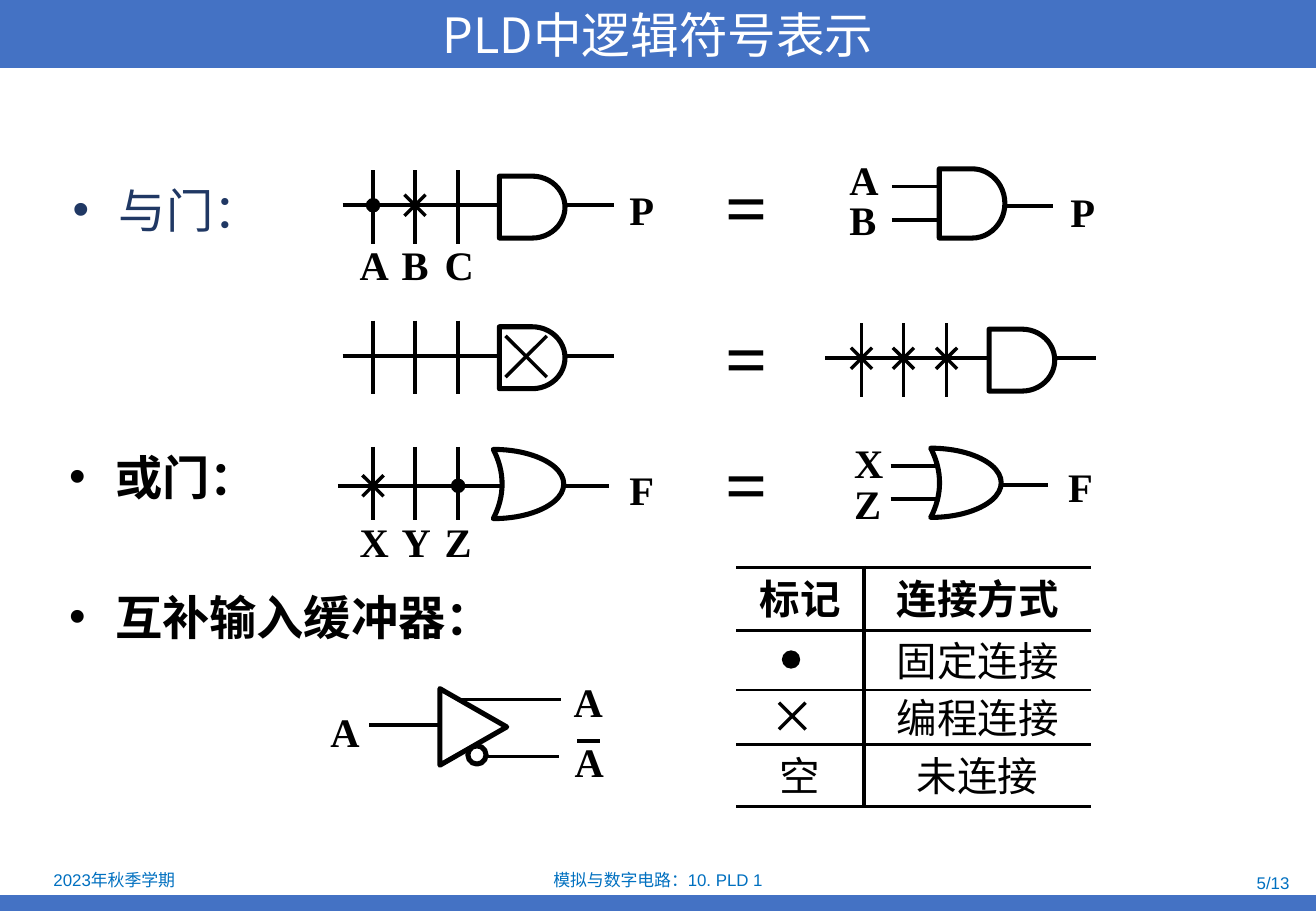
from lxml.etree import SubElement
from pptx import Presentation
from pptx.dml.color import RGBColor
from pptx.enum.shapes import MSO_CONNECTOR, MSO_SHAPE
from pptx.enum.text import MSO_ANCHOR, PP_ALIGN
from pptx.oxml import parse_xml
from pptx.oxml.ns import nsdecls, qn
from pptx.util import Inches, Pt

COLORS = {"band": "4472C4", "paper": "FFFFFF", "ink": "000000", "footer": "0070C0", "navy": "203864"}
SANS, SERIF, HAN = "Arial", "Times New Roman", "Noto Sans CJK SC"
COLUMNS, ROWS = 108.3, 75
PLAIN_TABLE = "{2D5ABB26-0587-4C30-8999-92F81FD0307C}"


def grid(*counts):
    """Turn counts of square grid cells, ten to the inch, into lengths."""
    return [Inches(count / 10) for count in counts]


def color(name):
    """Look up a named colour."""
    return RGBColor.from_string(COLORS[name])


def write_text(frame, text, size=24, ink="ink", face=SANS, bold=False, align=PP_ALIGN.LEFT,
               anchor=MSO_ANCHOR.TOP, margins=(1, 0.5), wrap=True, bullet=False, spacing=None):
    """Put one formatted paragraph into a text frame."""
    frame.word_wrap = wrap
    frame.vertical_anchor = anchor
    frame.margin_left = frame.margin_right = grid(margins[0])[0]
    frame.margin_top = frame.margin_bottom = grid(margins[1])[0]
    para = frame.paragraphs[0]
    para.alignment = align
    para.line_spacing = spacing
    if bullet:
        settings = para._p.get_or_add_pPr()
        settings.set("marL", str(Inches(0.38)))
        settings.set("indent", str(-Inches(0.38)))
        SubElement(settings, qn("a:buFont")).set("typeface", SANS)
        SubElement(settings, qn("a:buChar")).set("char", "•")
    span = para.add_run()
    span.text = text
    span.font.size, span.font.bold, span.font.name = Pt(size), bold, face
    span.font.color.rgb = color(ink)
    SubElement(span._r.get_or_add_rPr(), qn("a:ea")).set("typeface", HAN)


def text_box(page, text, place, **style):
    """Add a text box at a grid place."""
    write_text(page.shapes.add_textbox(*grid(*place)).text_frame, text, **style)


def label(page, text, left, top, **style):
    """Add a bold signal name."""
    text_box(page, text, (left, top, 3, 3), face=SERIF, bold=True, margins=(0, 0), **style)


def shape(page, kind, place, fill=None, weight=3):
    """Add a preset shape with a black outline."""
    item = page.shapes.add_shape(kind, *grid(*place))
    item.shadow.inherit = False
    if fill:
        item.fill.solid()
        item.fill.fore_color.rgb = color(fill)
    else:
        item.fill.background()
    if weight:
        item.line.color.rgb = color("ink")
        item.line.width = Pt(weight)
    else:
        item.line.fill.background()
    return item


def wire(page, start, end, weight=2.25):
    """Add a straight black line."""
    line = page.shapes.add_connector(MSO_CONNECTOR.STRAIGHT, *grid(*start, *end))
    line.line.color.rgb = color("ink")
    line.line.width = Pt(weight)
    SubElement(line._element.spPr, qn("a:effectLst"))


def cross(page, x, y, reach=0.87):
    """Mark a programmable connection."""
    for slope in (-1, 1):
        wire(page, (x - reach, y - slope * reach), (x + reach, y + slope * reach), 2)


def dot(page, x, y, radius=0.55):
    """Mark a fixed connection."""
    shape(page, MSO_SHAPE.OVAL, (x - radius, y - radius, 2 * radius, 2 * radius), "ink", 0.75)


def and_gate(page, left, top, height=5.1):
    """Draw an AND gate."""
    shape(page, MSO_SHAPE.FLOWCHART_DELAY, (left, top, 5.4, height), "paper")


def or_gate(page, left, top):
    """Draw an OR gate."""
    gate = shape(page, MSO_SHAPE.MOON, (left, top, 5.8, 5.7), "paper")
    gate.adjustments[0] = 0.875
    gate._element.spPr.get_or_add_xfrm().set("flipH", "1")


def tapped_wire(page, left, first_tap, y, marks=(None, None, None), names="", rise=2.9):
    """Draw a product line crossed by three taps with their marks and names."""
    wire(page, (left, y), (left + 22.3, y))
    taps = [first_tap + step for step in (0, 3.45, 7)]
    for x, mark in zip(taps, marks):
        wire(page, (x, y - rise), (x, y - rise + 6.05), 2)
        if mark:
            mark(page, x, y)
    for x, name in zip(taps, names):
        label(page, name, x - 1.1, y - rise + 5.75)


def direct_gate(page, back, top, reach):
    """Draw the two input wires and the output wire of a plain gate."""
    for drop in (1.45, 4.2):
        wire(page, (back - 3.9, top + drop), (back, top + drop))
    wire(page, (back + reach, top + 3.05), (back + reach + 3.95, top + 3.05))


def input_buffer(page):
    """Draw the buffer with true and inverted outputs."""
    for left, right, y in ((30.4, 36.2, 59.7), (37.9, 46.2, 57.6), (40.1, 46, 62.3)):
        wire(page, (left, y), (right, y), 2)
    shape(page, MSO_SHAPE.OVAL, (38.5, 61.4, 1.5, 1.5))
    shape(page, MSO_SHAPE.ISOSCELES_TRIANGLE, (35.8, 57.1, 6.3, 5.5)).rotation = 90
    for left, top in ((26.9, 58.2), (46.9, 55.7), (47, 60.7)):
        label(page, "A", left, top, align=PP_ALIGN.CENTER)
    wire(page, (47.5, 61), (49.4, 61))


def border(cell, side, weight):
    """Draw one side of a table cell."""
    cell._tc.get_or_add_tcPr().append(parse_xml(
        f'<a:{side} {nsdecls("a")} w="{Pt(weight)}"><a:solidFill>'
        f'<a:srgbClr val="{COLORS["ink"]}"/></a:solidFill></a:{side}>'))


def connection_table(page):
    """Build the table of connection marks."""
    rows = [("标记", "连接方式"), ("", "固定连接"), ("", "编程连接"), ("空", "未连接")]
    heights, rules = (5.2, 4.9, 4.5, 5.1), (2.25, 2.25, 1.5, 1.5, 2.25)
    table = page.shapes.add_table(4, 2, *grid(60.6, 46.7, 29.2, sum(heights))).table
    table._tbl.tblPr.find(qn("a:tableStyleId")).text = PLAIN_TABLE
    table.first_row = table.horz_banding = False
    table.columns[0].width, table.columns[1].width = grid(10.5, 18.7)
    for row, texts in enumerate(rows):
        table.rows[row].height = grid(heights[row])[0]
        for column, text in enumerate(texts):
            cell = table.cell(row, column)
            cell.margin_left = cell.margin_right = cell.margin_top = cell.margin_bottom = 0
            cell.vertical_anchor = MSO_ANCHOR.MIDDLE
            border(cell, "lnL" if column else "lnR", 2.25)
            border(cell, "lnT", rules[row])
            border(cell, "lnB", rules[row + 1])
            cell.fill.background()
            if text:
                write_text(cell.text_frame, text, bold=row == 0, align=PP_ALIGN.CENTER, spacing=0.9)
    dot(page, 65.1, 54.3, 0.7)
    cross(page, 65.2, 58.95, 1.1)


def frame_page(page):
    """Set the title, the footer band and the footer texts."""
    title = page.shapes.title
    title.left, title.top, title.width, title.height = grid(0, 0, COLUMNS, 5.6)
    title.fill.solid()
    title.fill.fore_color.rgb = color("band")
    write_text(title.text_frame, "PLD中逻辑符号表示", size=28.8, ink="paper", face=HAN,
               align=PP_ALIGN.CENTER, anchor=MSO_ANCHOR.MIDDLE)
    shape(page, MSO_SHAPE.RECTANGLE, (0, ROWS - 1.3, COLUMNS, 1.3), "band", 0)
    for text, place, align in (("2023年秋季学期", (0.2, 71.3, 18.4, 2.3), PP_ALIGN.CENTER),
                               ("模拟与数字电路：10. PLD 1", (37, 71.4, 34.3, 2.1), PP_ALIGN.CENTER),
                               ("5/13", (81.8, 71.6, 25.3, 2.1), PP_ALIGN.RIGHT)):
        text_box(page, text, place, size=10, ink="footer", align=align, anchor=MSO_ANCHOR.MIDDLE)


def main():
    """Build the slide and save it."""
    deck = Presentation()
    deck.slide_width, deck.slide_height = grid(COLUMNS, ROWS)
    page = deck.slides.add_slide(deck.slide_layouts[5])
    frame_page(page)
    text_box(page, "与门：", (5, 14.4, 21.8, 7.8), size=28, ink="navy", bullet=True)
    for text, top, width in (("或门：", 36.4, 19.7), ("互补输入缓冲器：", 47.9, 48.8)):
        text_box(page, text, (4.7, top, width, 7.1), size=28, face=SERIF, bold=True, bullet=True)
    tapped_wire(page, 28.2, 30.7, 16.9, (dot, cross, None), "ABC")
    tapped_wire(page, 28.2, 30.7, 29.3)
    tapped_wire(page, 67.9, 70.9, 29.5, (cross, cross, cross))
    tapped_wire(page, 27.8, 30.7, 40, (cross, None, dot), "XYZ", rise=3.2)
    for left, top in ((41.1, 14.5), (41.1, 26.9), (81.4, 27.1)):
        and_gate(page, left, top)
    cross(page, 43.3, 29.35, 1.7)
    or_gate(page, 40.6, 37)
    and_gate(page, 77.3, 13.9, 5.7)
    direct_gate(page, 77.3, 13.9, 5.4)
    or_gate(page, 76.6, 36.9)
    direct_gate(page, 77.2, 36.9, 5.1)
    for text, left, top in (("P", 51.8, 15.2), ("A", 69.9, 12.8), ("B", 69.9, 16.1), ("P", 88.1, 15.4),
                            ("F", 51.8, 38.3), ("X", 70.3, 36.1), ("Z", 70.3, 39.4), ("F", 87.9, 38)):
        label(page, text, left, top)
    for top in (13.2, 25.6, 36):
        label(page, "=", 59.7, top, size=44, wrap=False)
    input_buffer(page)
    connection_table(page)
    deck.save("out.pptx")


if __name__ == "__main__":
    main()
